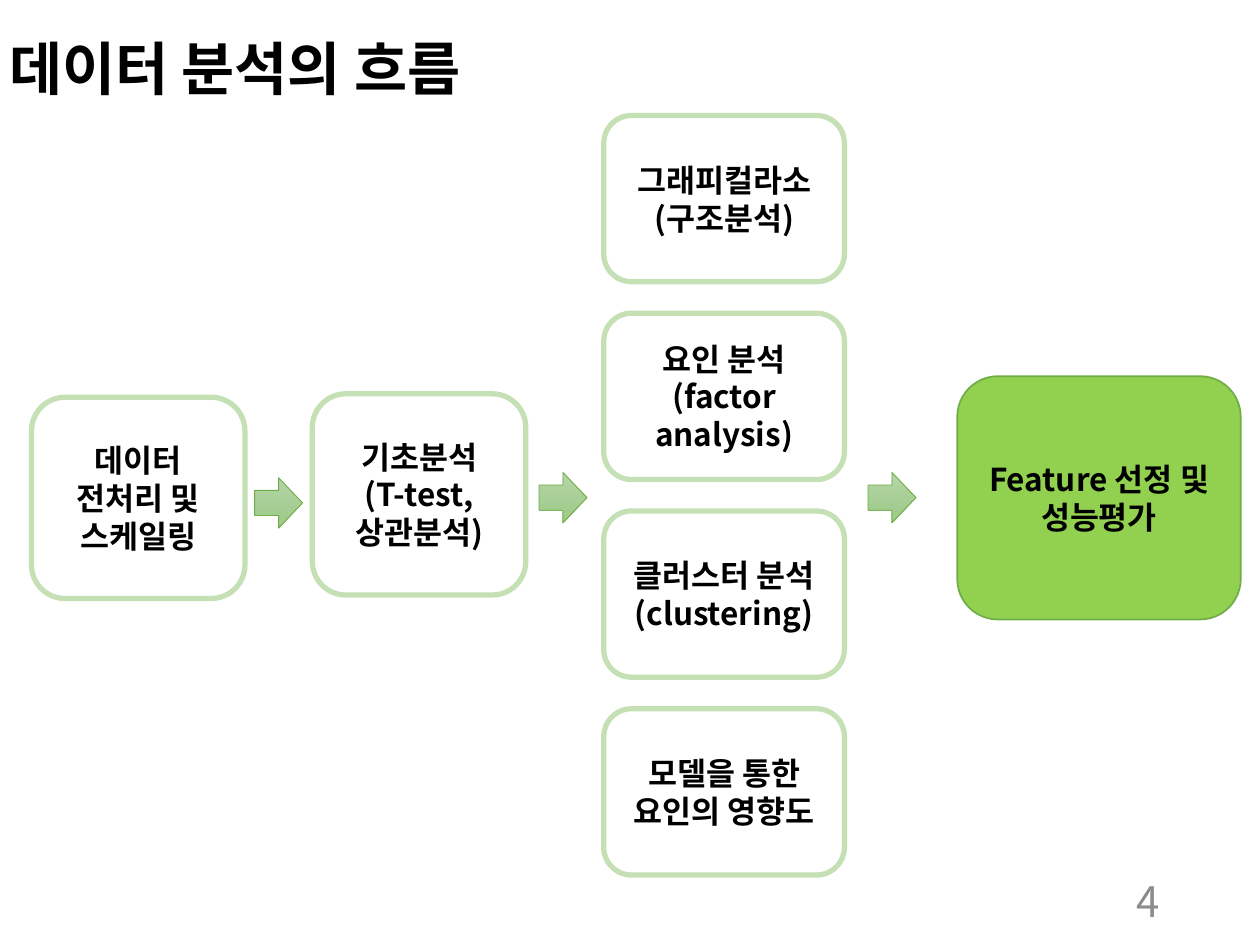
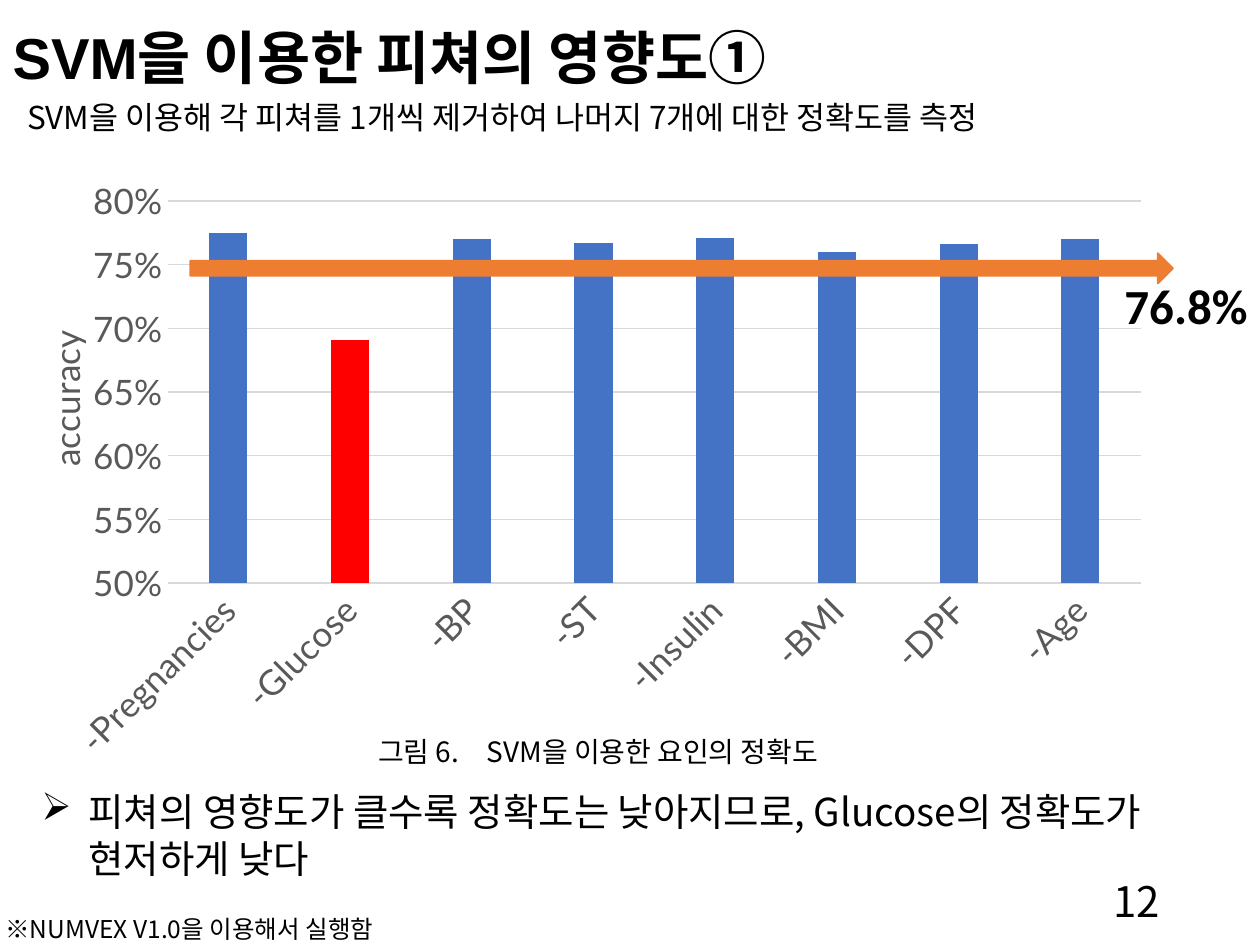
from lxml.etree import SubElement
from pptx import Presentation
from pptx.chart.data import CategoryChartData
from pptx.dml.color import RGBColor
from pptx.enum.chart import XL_CHART_TYPE as ChartType, XL_TICK_MARK as TickMark
from pptx.enum.shapes import MSO_SHAPE as Preset
from pptx.enum.text import MSO_ANCHOR as Anchor, MSO_AUTO_SIZE as AutoSize, PP_ALIGN as Align
from pptx.oxml import parse_xml
from pptx.oxml.ns import nsdecls, qn
from pptx.util import Pt

COLORS = {
    "white": "FFFFFF", "black": "000000", "page": "8C8C8C",
    "step_line": "C5E0B4", "result": "92D050", "green": "70AD47",
    "arrow_top": "B5D5A7", "arrow_bottom": "9CC987",
    "bar": "4472C4", "low_bar": "FF0000", "baseline": "ED7D31",
    "axis_text": "595959", "grid": "D9D9D9",
}
KOREAN = "Noto Sans CJK JP"
CHART_FONT = "Lato"
ACCURACY = {
    "-Pregnancies": 0.775, "-Glucose": 0.691, "-BP": 0.77, "-ST": 0.767,
    "-Insulin": 0.771, "-BMI": 0.76, "-DPF": 0.766, "-Age": 0.77,
}


def color(name):
    return RGBColor.from_string(COLORS[name])


def place(shape, box):
    shape.left, shape.top, shape.width, shape.height = map(Pt, box)


def style_font(font, size, name, color_name, bold=False):
    font.size, font.name, font.bold = Pt(size), name, bold
    font.color.rgb = color(color_name)


def write_text(shape, text, size=18, font=KOREAN, color_name="black", bold=False,
               align=Align.LEFT, anchor=Anchor.TOP, line_spacing=None,
               space_before=None, bullet=None, indent=0, inset=7.2):
    """Write one paragraph per line of text."""
    frame = shape.text_frame
    frame.word_wrap = True
    frame.auto_size = AutoSize.NONE
    frame.vertical_anchor = anchor
    frame.margin_left = Pt(inset)
    for number, line in enumerate(text.split("\n")):
        paragraph = frame.add_paragraph() if number else frame.paragraphs[0]
        paragraph.alignment = align
        if line_spacing:
            paragraph.line_spacing = line_spacing
        if space_before is not None:
            paragraph.space_before = Pt(space_before)
        properties = paragraph._p.get_or_add_pPr()
        properties.set("marL", str(Pt(indent)))
        properties.set("indent", str(-Pt(indent)))
        if bullet:
            SubElement(properties, qn("a:buChar"), char=bullet)
        else:
            SubElement(properties, qn("a:buNone"))
        run = paragraph.add_run()
        run.text = line
        style_font(run.font, size, font, color_name, bold)
        SubElement(run._r.get_or_add_rPr(), qn("a:ea"), typeface=KOREAN)


def add_text(slide, text, box, **text_format):
    shape = slide.shapes.add_textbox(*map(Pt, box))
    write_text(shape, text, **text_format)


def set_title(slide, text, box, font=KOREAN):
    place(slide.shapes.title, box)
    write_text(slide.shapes.title, text, size=33, font=font, bold=True,
               anchor=Anchor.MIDDLE, line_spacing=0.9)


def add_page_number(slide, number, color_name):
    add_text(slide, number, (508, 500, 162, 29), size=24, color_name=color_name,
             align=Align.RIGHT, anchor=Anchor.MIDDLE)


def add_preset(slide, preset, box, line, line_width, fill=None):
    shape = slide.shapes.add_shape(preset, *map(Pt, box))
    shape.shadow.inherit = False
    shape.line.color.rgb = color(line)
    shape.line.width = Pt(line_width)
    if fill:
        shape.fill.solid()
        shape.fill.fore_color.rgb = color(fill)
    return shape


def add_step(slide, text, box, fill="white", line="step_line", line_width=3):
    shape = add_preset(slide, Preset.ROUNDED_RECTANGLE, box, line, line_width, fill)
    write_text(shape, text, bold=True, align=Align.CENTER, anchor=Anchor.MIDDLE)


def add_flow_arrow(slide, left, top):
    arrow = add_preset(slide, Preset.RIGHT_ARROW, (left, top, 27.4, 28.8), "green", 0.5)
    arrow.fill.gradient()
    arrow.fill.gradient_angle = 270
    for stop, name in zip(arrow.fill.gradient_stops, ("arrow_top", "arrow_bottom")):
        stop.color.rgb = color(name)


def set_layout(parent, index, target="", **fractions):
    """Fix a chart part at fractions (x, y, w, h) of the chart's size."""
    for old_layout in parent.findall(qn("c:layout")):
        parent.remove(old_layout)
    sizes = "".join(f'<c:{tag} val="{value}"/>' for tag, value in fractions.items())
    parent.insert(index, parse_xml(
        f'<c:layout {nsdecls("c")}><c:manualLayout>{target}'
        f'<c:xMode val="edge"/><c:yMode val="edge"/>{sizes}</c:manualLayout></c:layout>'))


def add_accuracy_chart(slide, box):
    data = CategoryChartData(number_format="0%")
    data.categories = list(ACCURACY)
    data.add_series("Series 1", list(ACCURACY.values()))
    chart = slide.shapes.add_chart(ChartType.COLUMN_CLUSTERED, *map(Pt, box), data).chart
    chart.has_legend = chart.has_title = False
    style_font(chart.font, 20, CHART_FONT, "black")

    # Bars, with the lowest one marked
    plot = chart.plots[0]
    plot.gap_width, plot.overlap, plot.vary_by_categories = 219, -27, False
    series = plot.series[0]
    lowest = list(ACCURACY).index("-Glucose")
    for part, name in ((series, "bar"), (series.points[lowest], "low_bar")):
        part.format.fill.solid()
        part.format.fill.fore_color.rgb = color(name)

    # Axes
    categories, values = chart.category_axis, chart.value_axis
    for axis in (categories, values):
        axis.major_tick_mark = axis.minor_tick_mark = TickMark.NONE
        style_font(axis.tick_labels.font, 20, CHART_FONT, "axis_text")
    values.minimum_scale, values.maximum_scale, values.major_unit = 0.5, 0.8, 0.05
    values.tick_labels.number_format = "0%"
    values.tick_labels.number_format_is_linked = False
    values.format.line.fill.background()
    for line in (categories.format.line, values.major_gridlines.format.line):
        line.color.rgb = color("grid")
        line.width = Pt(0.75)
    chart.element.xpath(".//c:catAx/c:txPr/a:bodyPr")[0].set("rot", "-2700000")
    title = values.axis_title.text_frame
    title.text = "accuracy"
    style_font(title.paragraphs[0].runs[0].font, 20, CHART_FONT, "axis_text")

    # Places of the plot and of the axis title
    set_layout(chart.element.xpath("c:chart/c:plotArea")[0], 0,
               '<c:layoutTarget val="inner"/>', x=0.137, y=0.099, w=0.854, h=0.595)
    set_layout(chart.element.xpath(".//c:valAx/c:title")[0], 1, x=0.02, y=0.29)


def build_flow_slide(presentation):
    slide = presentation.slides.add_slide(presentation.slide_layouts[5])
    set_title(slide, "데이터 분석의 흐름", (-2, -11, 621, 104))
    add_page_number(slide, "4", "page")

    # Preparation and basic analysis
    add_step(slide, "데이터 전처리 및 스케일링", (18, 227, 122, 115))
    add_step(slide, "기초분석\n(T-test, 상관분석)", (178.5, 225, 122, 115))

    # Column of analysis methods
    methods = ("그래피컬라소\n(구조분석)", "요인 분석\n(factor analysis)",
               "클러스터 분석\n(clustering)", "모델을 통한\n요인의 영향도")
    for row, method in enumerate(methods):
        add_step(slide, method, (345, 66 + 113 * row, 137.5, 95))

    # Result and arrows between the stages
    add_step(slide, "Feature 선정 및 성능평가", (547, 215, 162, 139),
             fill="result", line="green", line_width=1)
    for left, top in ((145.5, 273), (308, 270), (496, 270)):
        add_flow_arrow(slide, left, top)


def build_svm_slide(presentation):
    slide = presentation.slides.add_slide(presentation.slide_layouts[1])
    set_title(slide, "SVM을 이용한 피쳐의 영향도①", (0, -19, 778, 107), font="Arial")
    body = slide.placeholders[1]
    place(body, (0, 55, 720, 318))
    write_text(body, "SVM을 이용해 각 피쳐를 1개씩 제거하여 나머지 7개에 대한 정확도를 측정",
               line_spacing=0.9, space_before=7.5, inset=15.5)
    add_page_number(slide, "12", "black")

    # Chart with the baseline accuracy
    add_accuracy_chart(slide, (6.5, 78.5, 651.6, 367))
    add_preset(slide, Preset.RIGHT_ARROW, (108.7, 144.7, 561.6, 17.3),
               "baseline", 1, "baseline")
    add_text(slide, "76.8%", (615.6, 154, 104.4, 41), size=28, font="Calibri",
             bold=True, align=Align.RIGHT)

    # Footnote, caption and finding
    add_text(slide, "※NUMVEX V1.0을 이용해서 실행함", (-4, 518.5, 431, 24), size=14)
    add_text(slide, "그림 6.　SVM을 이용한 요인의 정확도", (209, 416, 397, 27), size=16)
    add_text(slide, "피쳐의 영향도가 클수록 정확도는 낮아지므로, Glucose의 정확도가 현저하게 낮다",
             (16.5, 447, 686, 87), size=22, bullet="➢", indent=27)


def main():
    presentation = Presentation()
    presentation.slide_width, presentation.slide_height = Pt(720), Pt(540)
    build_flow_slide(presentation)
    build_svm_slide(presentation)
    presentation.save("out.pptx")


if __name__ == "__main__":
    main()
